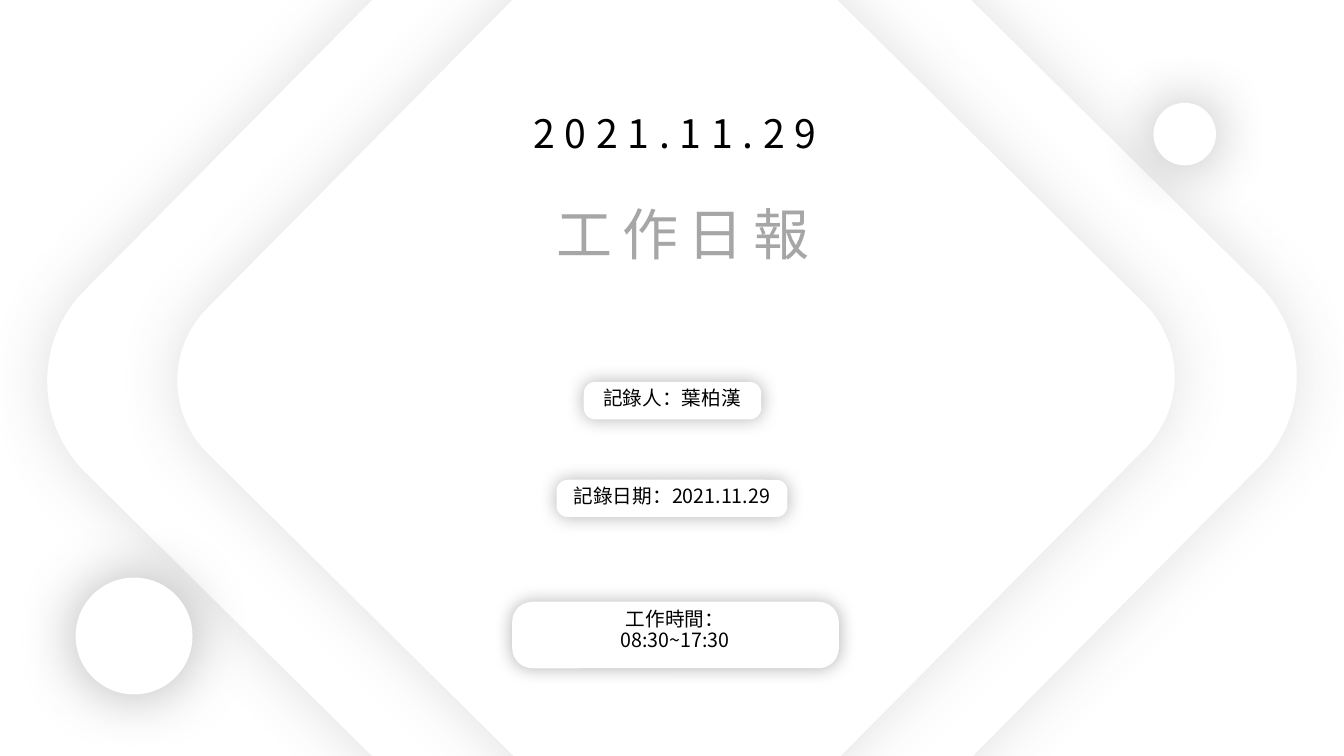
import pptx
import pptx.util
import pptx.oxml.ns
import pptx.dml.color
import pptx.enum.shapes
import pptx.enum.text
from dataclasses import dataclass
from lxml import etree

SCALE = 9144  # EMU per px, 100 px to the inch
KIND = pptx.enum.shapes.MSO_SHAPE
qn = pptx.oxml.ns.qn


@dataclass(frozen=True)
class Theme:
    font: str = "Noto Sans CJK SC"
    white: str = "FFFFFF"
    black: str = "000000"
    gray: str = "A6A6A6"
    shade: str = "595959"
    title: int = 40
    date: int = 28
    label: int = 14
    track: int = 7
    lead: float = 0.9


THEME = Theme()


def px(*sizes):
    return [pptx.util.Emu(size * SCALE) for size in sizes]


def rgb(code):
    return pptx.dml.color.RGBColor.from_string(code)


def add_glow(shape, color, alpha, blur):
    """Give the shape a soft, centred shadow (alpha in percent, blur in points)."""
    shape.shadow.inherit = False
    effects = shape._element.spPr.find(qn("a:effectLst"))
    glow = etree.SubElement(effects, qn("a:outerShdw"), blurRad=str(pptx.util.Pt(blur)),
                            dist="0", dir="0", algn="ctr", rotWithShape="0")
    tint = etree.SubElement(glow, qn("a:srgbClr"), val=color)
    etree.SubElement(tint, qn("a:alpha"), val=str(alpha * 1000))


def add_plate(shapes, kind, box, glow, round_by=None, turn=0):
    plate = shapes.add_shape(kind, *px(*box))
    plate.fill.solid()
    plate.fill.fore_color.rgb = rgb(THEME.white)
    plate.line.fill.background()
    plate.rotation = turn
    if round_by is not None:
        plate.adjustments[0] = round_by
    add_glow(plate, *glow)


def add_text(shapes, box, text, size, color, track=0):
    frame = shapes.add_textbox(*px(*box)).text_frame
    frame.word_wrap = True
    frame.auto_size = pptx.enum.text.MSO_AUTO_SIZE.SHAPE_TO_FIT_TEXT
    frame.text = text
    for para in frame.paragraphs:
        para.alignment = pptx.enum.text.PP_ALIGN.CENTER
        para.line_spacing = THEME.lead
        for run in para.runs:
            font = run.font
            font.name = THEME.font
            font.size = pptx.util.Pt(size)
            font.color.rgb = rgb(color)
            props = run._r.get_or_add_rPr()
            etree.SubElement(props, qn("a:ea"), typeface=THEME.font)
            if track:
                props.set("spc", str(track * 100))


def add_label(slide, plate, box, text):
    group = slide.shapes.add_group_shape()
    add_plate(group.shapes, KIND.ROUNDED_RECTANGLE, plate, (THEME.black, 30, 13), 0.302)
    add_text(group.shapes, box, text, THEME.label, THEME.black)


def main():
    deck = pptx.Presentation()
    deck.slide_width, deck.slide_height = px(1333, 750)
    slide = deck.slides.add_slide(deck.slide_layouts[6])
    shapes = slide.shapes
    slide.background.fill.solid()
    slide.background.fill.fore_color.rgb = rgb(THEME.white)

    # Nested diamonds
    for left, top, side in ((191, -100, 951), (291, -4, 759)):
        add_plate(shapes, KIND.ROUNDED_RECTANGLE, (left, top, side, side),
                  (THEME.shade, 19, 43), 0.134, 44.7)

    # Headings
    add_text(shapes, (266, 109, 807, 57), "2021.11.29", THEME.date, THEME.black, THEME.track)
    add_text(shapes, (440, 201, 475, 77), "工作日報", THEME.title, THEME.gray, THEME.track)

    # Discs
    for left, top, side in ((75, 573, 116), (1144, 102, 62)):
        add_plate(shapes, KIND.OVAL, (left, top, side, side), (THEME.black, 30, 43))

    # Labels
    add_label(slide, (579, 379, 176, 37), (562, 381, 209, 34), "記錄人：葉柏漢")
    add_label(slide, (552, 476, 229, 37), (546, 478, 241, 34), "記錄日期：2021.11.29")
    add_label(slide, (508, 597, 324, 66), (499, 600, 341, 43), "工作時間：\n08:30~17:30")

    deck.save("out.pptx")


if __name__ == "__main__":
    main()
